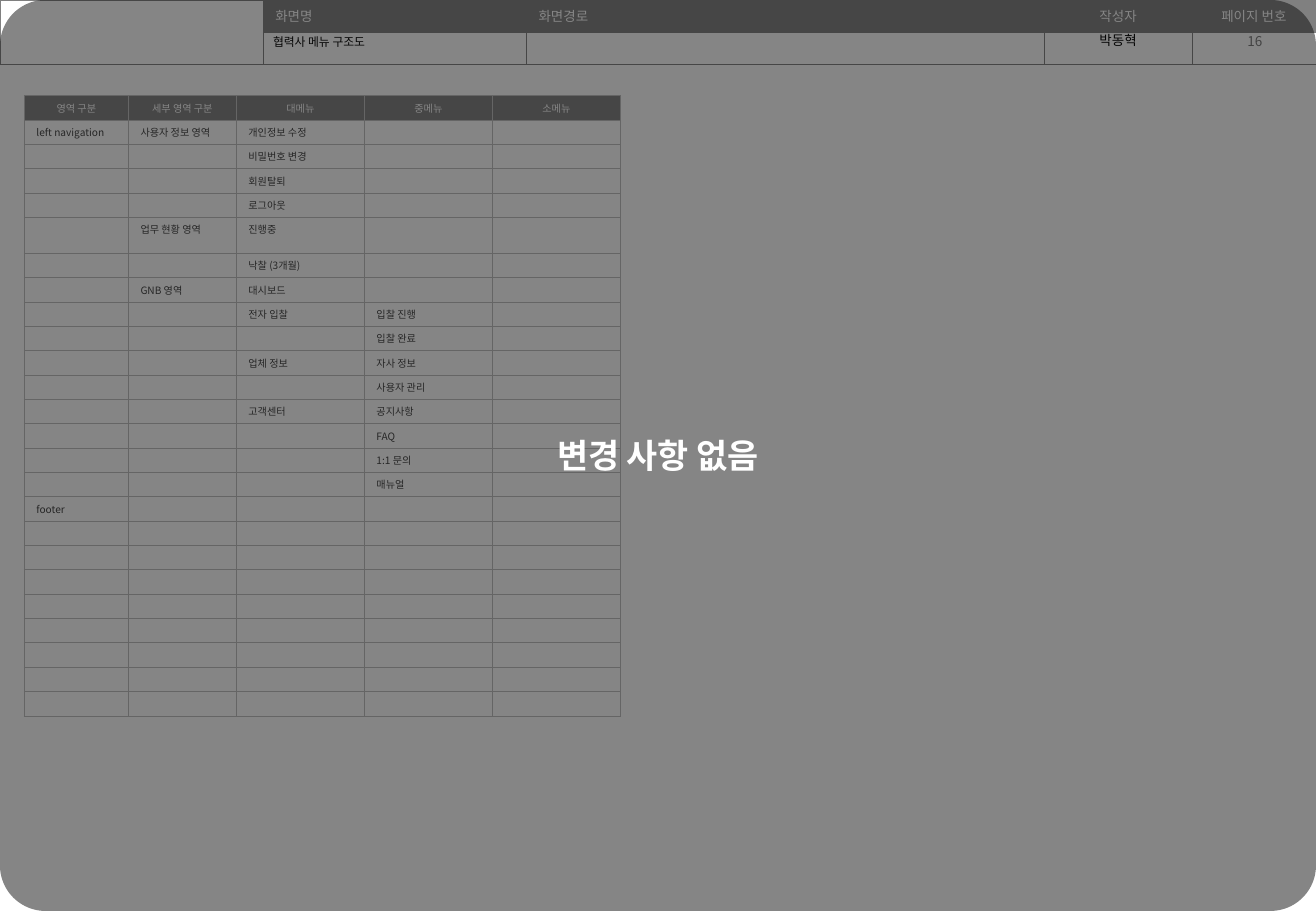
"""Build the partner menu structure slide with its "no changes" overlay."""
from lxml import etree
from pptx import Presentation
from pptx.dml.color import RGBColor
from pptx.enum.shapes import MSO_SHAPE
from pptx.enum.text import MSO_ANCHOR, PP_ALIGN
from pptx.oxml.ns import qn
from pptx.util import Pt

LEFT, CENTER = PP_ALIGN.LEFT, PP_ALIGN.CENTER
TOP, MIDDLE = MSO_ANCHOR.TOP, MSO_ANCHOR.MIDDLE
ROUNDED = MSO_SHAPE.ROUNDED_RECTANGLE
KOREAN_FONT = "Noto Sans CJK KR"
WIDTH, HEIGHT = 780, 540


def color(value):
    """Turn a hex string into a colour."""
    return RGBColor.from_string(value)


def write(text_frame, text, size, hex_color, align, font=KOREAN_FONT):
    """Set one line of formatted text, or the size of an empty line."""
    text_frame.text = text
    paragraph = text_frame.paragraphs[0]
    paragraph.alignment = align
    for run in paragraph.runs:
        run.font.size = Pt(size)
        run.font.name = font
        run.font.color.rgb = color(hex_color)
        etree.SubElement(run.font._element, qn("a:ea"), typeface=font)
    if not text:
        etree.SubElement(paragraph._p, qn("a:endParaRPr"), sz=str(size * 100))


presentation = Presentation()
presentation.slide_width = Pt(WIDTH)
presentation.slide_height = Pt(HEIGHT)
slide = presentation.slides.add_slide(presentation.slide_layouts[6])

page_rows = [
    ["", "화면명", "화면경로", "작성자", "페이지 번호"],
    ["", "", "", "", ""],
]
menu_rows = [
    ["영역 구분", "세부 영역 구분", "대메뉴", "중메뉴", "소메뉴"],
    ["left navigation", "사용자 정보 영역", "개인정보 수정", "", ""],
    ["", "", "비밀번호 변경", "", ""],
    ["", "", "회원탈퇴", "", ""],
    ["", "", "로그아웃", "", ""],
    ["", "업무 현황 영역", "진행중", "", ""],
    ["", "", "낙찰 (3개월)", "", ""],
    ["", "GNB 영역", "대시보드", "", ""],
    ["", "", "전자 입찰", "입찰 진행", ""],
    ["", "", "", "입찰 완료", ""],
    ["", "", "업체 정보", "자사 정보", ""],
    ["", "", "", "사용자 관리", ""],
    ["", "", "고객센터", "공지사항", ""],
    ["", "", "", "FAQ", ""],
    ["", "", "", "1:1 문의", ""],
    ["", "", "", "매뉴얼", ""],
    ["footer", "", "", "", ""],
] + [[""] * 5] * 8
menu_heights = [14.45] * len(menu_rows)
menu_heights[5] = 21.4

tables = [
    dict(rows=page_rows, left=0, top=0, widths=[156, 156, 307, 87.6, 73.4], heights=[19.1] * 2,
         size=8, margin=3.6, border="808080", line=0.25, anchor=TOP, body_fill=None,
         header_aligns=[LEFT, LEFT, LEFT, CENTER, CENTER]),
    dict(rows=menu_rows, left=14.4, top=56.7, widths=[61.7, 64, 75.9, 75.9, 75.9],
         heights=menu_heights, size=6, margin=2.8, border="BFBFBF", line=0.5,
         anchor=MIDDLE, body_fill="FFFFFF", header_aligns=[CENTER] * 5),
]
for spec_table in tables:
    rows, widths, heights = spec_table["rows"], spec_table["widths"], spec_table["heights"]
    table = slide.shapes.add_table(
        len(rows), len(widths), Pt(spec_table["left"]), Pt(spec_table["top"]),
        Pt(sum(widths)), Pt(sum(heights))).table
    table.first_row = False
    table.horz_banding = False
    for column, width in zip(table.columns, widths):
        column.width = Pt(width)
    for row_index, texts in enumerate(rows):
        table.rows[row_index].height = Pt(heights[row_index])
        is_header = row_index == 0
        for column_index, text in enumerate(texts):
            cell = table.cell(row_index, column_index)
            cell.margin_left = cell.margin_right = Pt(7.2)
            cell.margin_top = cell.margin_bottom = Pt(spec_table["margin"])
            cell.vertical_anchor = spec_table["anchor"] if is_header else TOP
            align = spec_table["header_aligns"][column_index] if is_header else LEFT
            write(cell.text_frame, text, spec_table["size"],
                  "FFFFFF" if is_header else "404040", align)
            properties = cell._tc.get_or_add_tcPr()
            for side in ("a:lnL", "a:lnR", "a:lnT", "a:lnB"):
                border = etree.SubElement(properties, qn(side), w=str(Pt(spec_table["line"])))
                solid = etree.SubElement(border, qn("a:solidFill"))
                etree.SubElement(solid, qn("a:srgbClr"), val=spec_table["border"])
            fill = "808080" if is_header and text else spec_table["body_fill"]
            if fill:
                cell.fill.solid()
                cell.fill.fore_color.rgb = color(fill)
            else:
                cell.fill.background()
    if rows is page_rows:
        table.cell(0, 0).merge(table.cell(1, 0))

page_values = [
    ("박동혁", 618.5, 15.5, 88.5, 17.3, 8, "000000", CENTER, TOP, KOREAN_FONT),
    ("16", 707.5, 15.8, 72.5, 17.3, 8, "797979", CENTER, MIDDLE, KOREAN_FONT),
    ("협력사 메뉴 구조도", 154.8, 17.1, 160, 15.8, 7, "000000", LEFT, TOP, "Lato"),
]
for text, left, top, width, height, size, hex_color, align, anchor, font in page_values:
    text_box = slide.shapes.add_textbox(Pt(left), Pt(top), Pt(width), Pt(height))
    text_box.text_frame.word_wrap = True
    text_box.text_frame.vertical_anchor = anchor
    write(text_box.text_frame, text, size, hex_color, align, font)

overlay = slide.shapes.add_shape(ROUNDED, 0, 0, Pt(WIDTH), Pt(HEIGHT))
overlay.adjustments[0] = 0.05
overlay.shadow.inherit = False
overlay.line.fill.background()
overlay.fill.solid()
overlay.fill.fore_color.rgb = color("0D0D0D")
overlay_color = overlay._element.spPr.find(qn("a:solidFill")).find(qn("a:srgbClr"))
etree.SubElement(overlay_color, qn("a:alpha"), val="50000")
overlay.text_frame.vertical_anchor = MIDDLE
write(overlay.text_frame, "변경 사항 없음", 20, "FFFFFF", CENTER)
overlay.text_frame.paragraphs[0].runs[0].font.bold = True

presentation.save("out.pptx")
